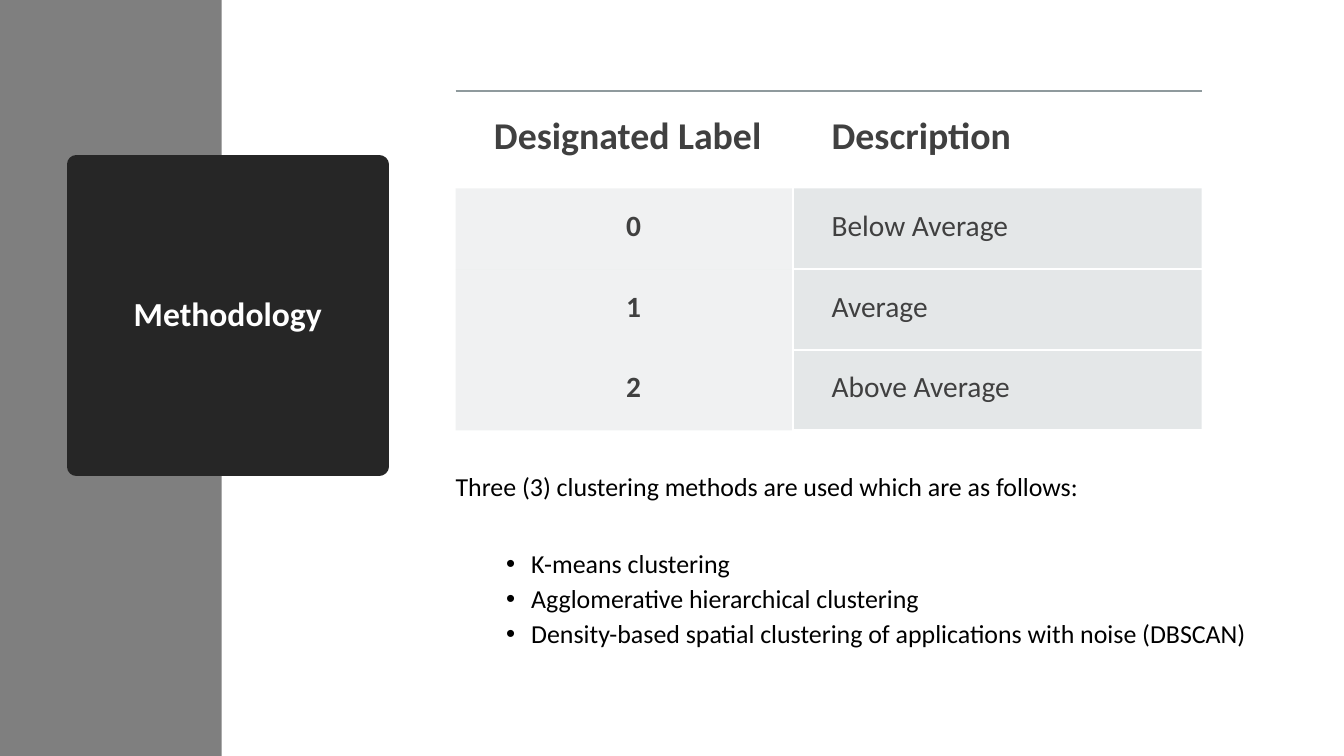
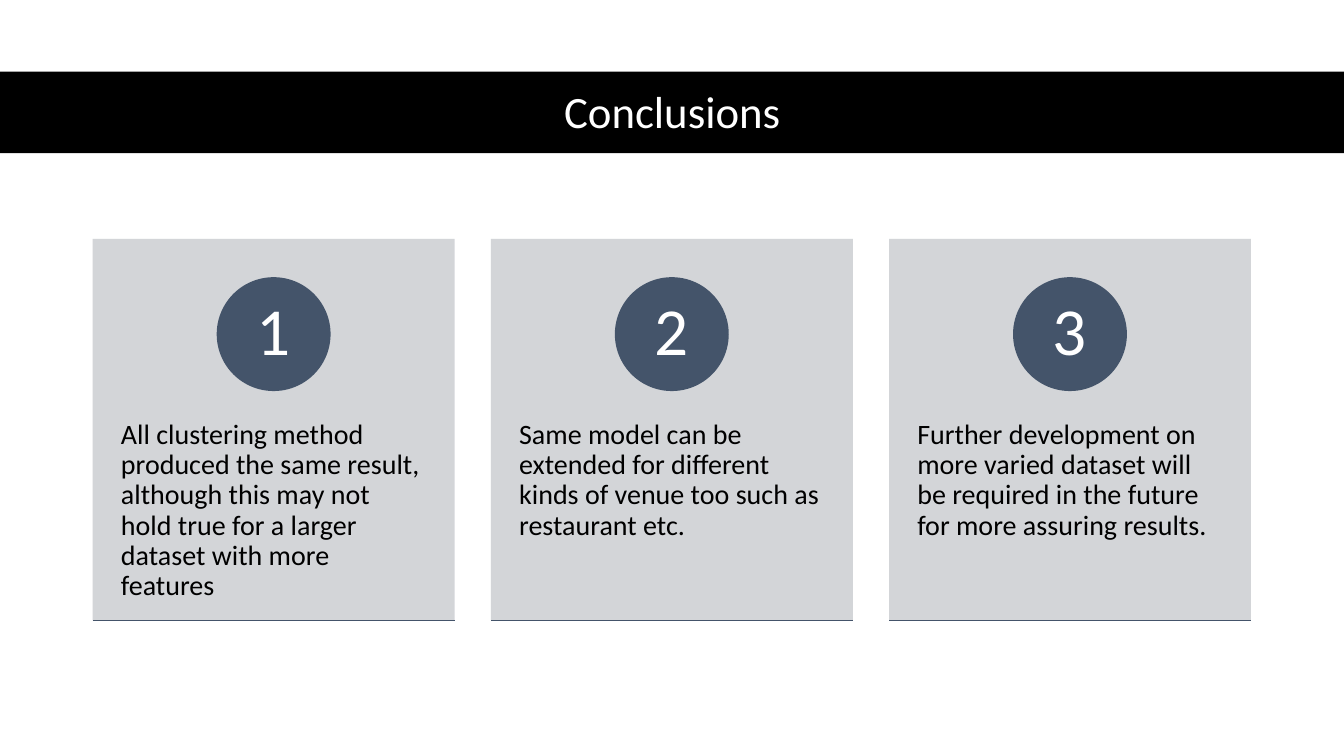
"""Build the methodology and conclusions slides."""
from dataclasses import dataclass

from lxml import etree
from pptx import Presentation
from pptx import util as u
from pptx.dml.color import RGBColor
from pptx.enum import shapes, text
from pptx.oxml.ns import qn

EMU_PER_PX = 9144
FONT = "Calibri"
BLACK, WHITE, INK, GREY = "000000", "FFFFFF", "404040", "7F7F7F"
CHARCOAL, SLATE, CARD_FILL, TABLE_FILL, RULE = "262626", "44546A", "CFD1D4", "B4BCBE", "8F9A9D"
NO_STYLE = "{2D5ABB26-0587-4C30-8999-92F81FD0307C}"
RECT, OVAL = shapes.MSO_SHAPE.RECTANGLE, shapes.MSO_SHAPE.OVAL
LEFT, CENTER = text.PP_ALIGN.LEFT, text.PP_ALIGN.CENTER
TOP, MIDDLE = text.MSO_ANCHOR.TOP, text.MSO_ANCHOR.MIDDLE


@dataclass(frozen=True)
class Box:
    x: int
    y: int
    w: int
    h: int


@dataclass(frozen=True)
class Style:
    size: float
    color: str
    bold: bool = False
    align: int = LEFT
    spacing: float = 0.9


@dataclass(frozen=True)
class Label:
    code: str
    description: str


@dataclass(frozen=True)
class Card:
    number: str
    body: str


TABLE_HEAD = Label("Designated Label", "Description")
LABELS = [Label("0", "Below Average"), Label("1", "Average"), Label("2", "Above Average")]
METHODS_INTRO = "Three (3) clustering methods are used which are as follows:"
METHODS = [
    "K-means clustering",
    "Agglomerative hierarchical clustering",
    "Density-based spatial clustering of applications with noise (DBSCAN)",
]
CARDS = [
    Card("1", "All clustering method produced the same result, although this may not "
              "hold true for a larger dataset with more features"),
    Card("2", "Same model can be extended for different kinds of venue too such as restaurant etc."),
    Card("3", "Further development on more varied dataset will be required in the future "
              "for more assuring results."),
]


def px(n: int) -> u.Emu:
    """Turn px into EMU."""
    return u.Emu(n * EMU_PER_PX)


def rgb(color: str) -> RGBColor:
    """Turn a hex string into a colour."""
    return RGBColor.from_string(color)


def place(sp, box: Box) -> None:
    """Move and size a shape."""
    sp.left, sp.top, sp.width, sp.height = px(box.x), px(box.y), px(box.w), px(box.h)


def paint(fill, props, color: str, alpha: int = 100) -> None:
    """Fill a shape or cell, with opacity in percent."""
    fill.solid()
    fill.fore_color.rgb = rgb(color)
    if alpha < 100:
        clr = props.find(qn("a:solidFill"))[0]
        etree.SubElement(clr, qn("a:alpha"), val=str(alpha * 1000))


def write(p, words: str, style: Style) -> None:
    """Add one formatted run to a paragraph."""
    p.alignment, p.line_spacing = style.align, style.spacing
    r = p.add_run()
    r.text = words
    f = r.font
    f.name, f.size, f.bold = FONT, u.Pt(style.size), style.bold
    f.color.rgb = rgb(style.color)


def frame(sp, anchor: int, mx: int = 10, my: int = 5):
    """Set up and return a wrapping text frame."""
    tf = sp.text_frame
    tf.word_wrap, tf.auto_size, tf.vertical_anchor = True, text.MSO_AUTO_SIZE.NONE, anchor
    tf.margin_left = tf.margin_right = px(mx)
    tf.margin_top = tf.margin_bottom = px(my)
    return tf


def add_block(s, kind: int, box: Box, color: str, alpha: int = 100):
    """Add a borderless filled shape."""
    sp = s.shapes.add_shape(kind, px(box.x), px(box.y), px(box.w), px(box.h))
    sp.shadow.inherit = False
    sp.line.fill.background()
    paint(sp.fill, sp._element.spPr, color, alpha)
    return sp


def add_band(s, box: Box, color: str) -> None:
    """Add a band behind everything else on the slide."""
    sp = add_block(s, RECT, box, color)
    s.shapes._spTree.insert(2, sp._element)


def set_title(s, words: str, box: Box, size: float, bold: bool = False):
    """Fill the title placeholder in the shared white centred style."""
    sp = s.shapes.title
    place(sp, box)
    write(frame(sp, MIDDLE).paragraphs[0], words, Style(size, WHITE, bold, CENTER))
    return sp


def set_bullet(p, char: str, left: int, indent: int) -> None:
    """Set the indents and bullet of a paragraph; no char means no bullet."""
    pr = p._p.get_or_add_pPr()
    pr.set("marL", str(px(left)))
    pr.set("indent", str(px(indent)))
    if char:
        etree.SubElement(pr, qn("a:buFont"), typeface="Arial")
        etree.SubElement(pr, qn("a:buChar"), char=char)
    else:
        etree.SubElement(pr, qn("a:buNone"))


def set_borders(cell, sides: str, color: str) -> None:
    """Draw the given cell sides, listed in the order L, R, T, B."""
    pr = cell._tc.get_or_add_tcPr()
    for i, side in enumerate(sides):
        ln = etree.Element(qn(f"a:ln{side}"), w=str(u.Pt(1.5)))
        fill = etree.SubElement(ln, qn("a:solidFill"))
        etree.SubElement(fill, qn("a:srgbClr"), val=color)
        pr.insert(i, ln)


def write_cell(cell, words: str, style: Style, margin: int) -> None:
    """Write a table cell with its margins."""
    cell.margin_left = px(38)
    cell.margin_right = cell.margin_top = cell.margin_bottom = px(margin)
    cell.vertical_anchor = TOP
    write(cell.text_frame.paragraphs[0], words, style)


def add_label_table(s, box: Box) -> None:
    """Add the table of labels and their descriptions."""
    gf = s.shapes.add_table(len(LABELS) + 1, 2, px(box.x), px(box.y), px(box.w), px(box.h))
    tbl = gf.table
    tbl.first_row = tbl.horz_banding = False
    next(tbl._tbl.iter(qn("a:tableStyleId"))).text = NO_STYLE
    for col, w in zip(tbl.columns, (335, 405)):
        col.width = px(w)
    for i, row in enumerate(tbl.rows):
        row.height = px(80 if i else 97)
    for c, words in enumerate((TABLE_HEAD.code, TABLE_HEAD.description)):
        cell = tbl.cell(0, c)
        write_cell(cell, words, Style(27, INK, True, spacing=1.0), 23)
        cell.fill.background()
        set_borders(cell, "T", RULE)
    for i, label in enumerate(LABELS, 1):
        code, desc = tbl.cell(i, 0), tbl.cell(i, 1)
        write_cell(code, label.code, Style(21, INK, True, CENTER, 1.0), 20)
        write_cell(desc, label.description, Style(21, INK, spacing=1.0), 20)
        for cell, alpha in ((code, 20), (desc, 35)):
            paint(cell.fill, cell._tc.get_or_add_tcPr(), TABLE_FILL, alpha)
        set_borders(desc, "LB", WHITE)


def add_card(s, card: Card, box: Box) -> None:
    """Add a numbered card with a base line."""
    add_block(s, RECT, box, CARD_FILL, 90)
    d = 113
    disc = add_block(s, OVAL, Box(box.x + (box.w - d) // 2, box.y + 38, d, d), SLATE)
    write(frame(disc, MIDDLE, 0, 0).paragraphs[0], card.number, Style(48, WHITE, align=CENTER))
    sp = s.shapes.add_textbox(px(box.x), px(box.y + 144), px(box.w), px(227))
    write(frame(sp, TOP, 28, 36).paragraphs[0], card.body, Style(20, BLACK))
    y = px(box.y + box.h)
    base = s.shapes.add_connector(shapes.MSO_CONNECTOR.STRAIGHT, px(box.x), y, px(box.x + box.w), y)
    base.line.color.rgb = rgb(SLATE)
    base.line.width = u.Pt(0.25)
    etree.SubElement(base._element.spPr, qn("a:effectLst"))


def build_methodology(prs) -> None:
    """Build the methodology slide."""
    s = prs.slides.add_slide(prs.slide_layouts[1])
    add_band(s, Box(0, 0, 220, 750), GREY)
    title = set_title(s, "Methodology", Box(76, 163, 300, 300), 24, True)
    paint(title.fill, title._element.spPr, CHARCOAL)
    title.line.color.rgb = rgb(CHARCOAL)
    title.line.width = u.Pt(13.75)
    body = s.placeholders[1]
    place(body, Box(442, 465, 834, 195))
    tf = frame(body, TOP)
    style = Style(18.5, BLACK)
    p = tf.paragraphs[0]
    p.space_before = u.Pt(10)
    write(p, METHODS_INTRO, style)
    set_bullet(p, "", 0, 0)
    for i, method in enumerate(METHODS):
        p = tf.add_paragraph()
        p.level = 1
        p.space_before = u.Pt(5 if i else 35)
        write(p, method, style)
        set_bullet(p, "•", 75, -25)
    add_label_table(s, Box(452, 90, 740, 337))


def build_conclusions(prs) -> None:
    """Build the conclusions slide."""
    s = prs.slides.add_slide(prs.slide_layouts[5])
    add_band(s, Box(0, 71, 1334, 81), BLACK)
    set_title(s, "Conclusions", Box(92, 74, 1150, 78), 32)
    for i, card in enumerate(CARDS):
        add_card(s, card, Box(92 + 395 * i, 237, 359, 378))


def main() -> None:
    """Build and save the deck."""
    prs = Presentation()
    prs.slide_width, prs.slide_height = u.Inches(13.333), px(750)
    build_methodology(prs)
    build_conclusions(prs)
    prs.save("out.pptx")


if __name__ == "__main__":
    main()
